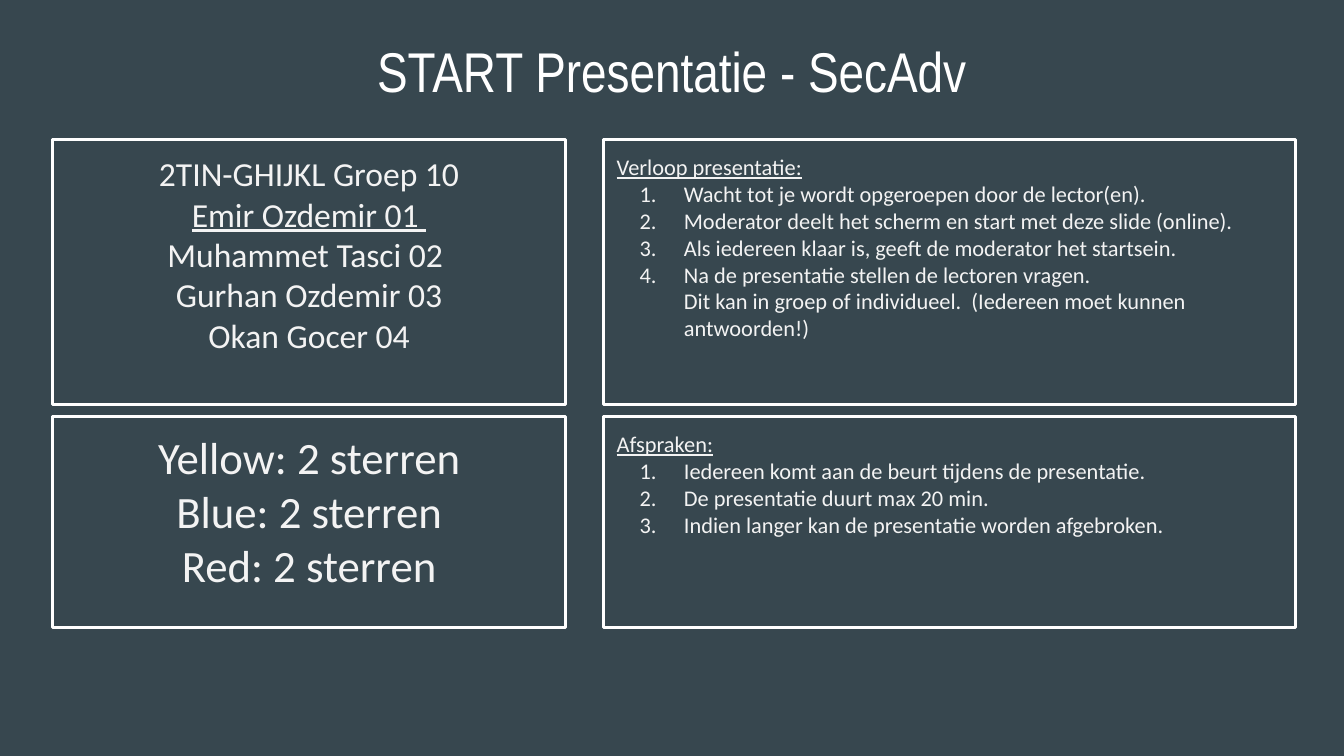
"""Build the start slide of a group presentation with python-pptx."""
from dataclasses import dataclass

from lxml.etree import SubElement
from pptx import Presentation
from pptx.dml.color import RGBColor
from pptx.enum.shapes import MSO_SHAPE
from pptx.enum.text import MSO_ANCHOR, PP_ALIGN
from pptx.oxml.ns import qn
from pptx.util import Inches, Pt


@dataclass(frozen=True)
class Theme:
    back: str = "37474F"
    line: str = "FFFFFF"
    ink: str = "F3F3F3"
    head: str = "Arial Narrow"
    body: str = "Calibri"
    title: int = 30
    score: int = 24
    group: int = 18
    note: int = 12


THEME = Theme()
WIDE = 10
HIGH = WIDE * 9 / 16
COLS = [(0.39, 3.82), (4.49, 5.15)]
ROWS = [(1.04, 1.97), (3.1, 1.57)]

TITLE = "START Presentatie - SecAdv"
PANELS = [
    {"cell": (0, 0), "size": THEME.group, "align": PP_ALIGN.CENTER, "under": 1, "lines": [
        "2TIN-GHIJKL Groep 10",
        "Emir Ozdemir 01 ",
        "Muhammet Tasci 02 ",
        "Gurhan Ozdemir 03",
        "Okan Gocer 04",
    ]},
    {"cell": (0, 1), "size": THEME.score, "align": PP_ALIGN.CENTER, "lines": [
        "Yellow: 2 sterren",
        "Blue: 2 sterren",
        "Red: 2 sterren",
    ]},
    {"cell": (1, 0), "size": THEME.note, "under": 0, "steps": True, "lines": [
        "Verloop presentatie:",
        "Wacht tot je wordt opgeroepen door de lector(en).",
        "Moderator deelt het scherm en start met deze slide (online).",
        "Als iedereen klaar is, geeft de moderator het startsein.",
        "Na de presentatie stellen de lectoren vragen.  \v"
        "Dit kan in groep of individueel.  (Iedereen moet kunnen antwoorden!)",
    ]},
    {"cell": (1, 1), "size": THEME.note, "under": 0, "steps": True, "lines": [
        "Afspraken:",
        "Iedereen komt aan de beurt tijdens de presentatie.",
        "De presentatie duurt max 20 min.",
        "Indien langer kan de presentatie worden afgebroken.",
    ]},
]


def number(para):
    """Give a paragraph a hanging number."""
    props = para._p.get_or_add_pPr()
    props.set("marL", str(Inches(0.5)))
    props.set("indent", str(Inches(-0.33)))
    tint = SubElement(props, qn("a:buClr"))
    SubElement(tint, qn("a:srgbClr"), val=THEME.ink)
    SubElement(props, qn("a:buFont"), typeface=THEME.body)
    SubElement(props, qn("a:buAutoNum"), type="arabicPeriod")


def write(shape, lines, size, face=THEME.body, color=THEME.ink, align=PP_ALIGN.LEFT,
          anchor=MSO_ANCHOR.TOP, under=None, steps=False):
    """Fill a shape with formatted paragraphs."""
    frame = shape.text_frame
    frame.word_wrap = True
    frame.vertical_anchor = anchor
    frame.margin_left = frame.margin_right = Inches(0.1)
    frame.margin_top = frame.margin_bottom = Inches(0.1)
    for i, line in enumerate(lines):
        para = frame.paragraphs[0] if i == 0 else frame.add_paragraph()
        para.text = line
        para.alignment = align
        if steps and i:
            number(para)
        for gap in para._p.findall(qn("a:br")):
            SubElement(gap, qn("a:rPr"), sz=str(size * 100))
        for run in para.runs:
            font = run.font
            font.name, font.size = face, Pt(size)
            font.color.rgb = RGBColor.from_string(color)
            font.underline = i == under


def place(shape, left, top, width, height):
    """Set the place and size of a shape in inches."""
    shape.left, shape.top = Inches(left), Inches(top)
    shape.width, shape.height = Inches(width), Inches(height)


def panel(slide, cell, **form):
    """Draw one outlined panel in its grid cell."""
    (left, width), (top, height) = COLS[cell[0]], ROWS[cell[1]]
    box = slide.shapes.add_shape(MSO_SHAPE.RECTANGLE, 0, 0, 0, 0)
    place(box, left, top, width, height)
    box.shadow.inherit = False
    box.fill.background()
    box.line.color.rgb = RGBColor.from_string(THEME.line)
    box.line.width = Pt(1.5)
    write(box, **form)


def main():
    """Build and save the slide."""
    deck = Presentation()
    deck.slide_width, deck.slide_height = Inches(WIDE), Inches(HIGH)
    slide = deck.slides.add_slide(deck.slide_layouts[5])
    fill = slide.background.fill
    fill.solid()
    fill.fore_color.rgb = RGBColor.from_string(THEME.back)
    title = slide.shapes.title
    place(title, 0.34, 0.24, WIDE - 2 * 0.34, 0.63)
    write(title, [TITLE], THEME.title, face=THEME.head, color=THEME.line,
          align=PP_ALIGN.CENTER, anchor=MSO_ANCHOR.BOTTOM)
    for part in PANELS:
        panel(slide, **part)
    deck.save("out.pptx")


if __name__ == "__main__":
    main()
